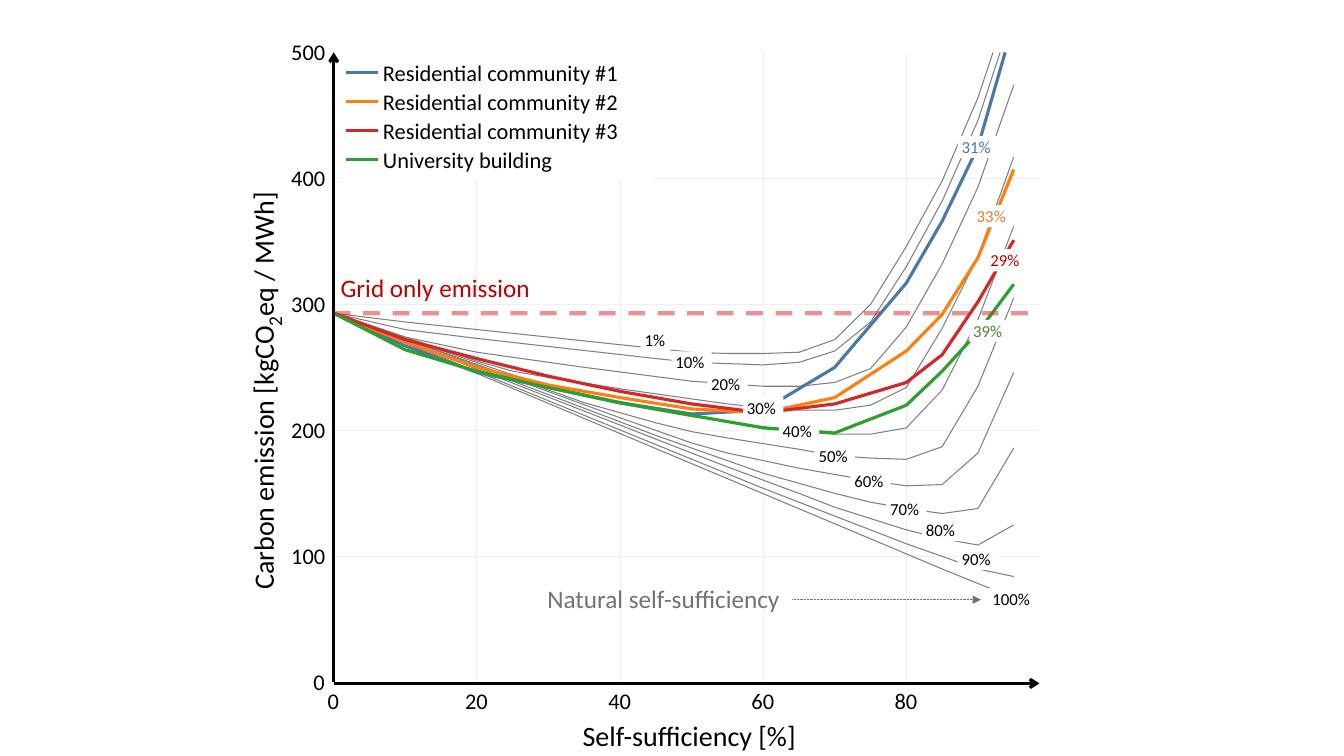
from lxml.etree import SubElement
from pptx import Presentation
from pptx.dml.color import RGBColor
from pptx.enum.dml import MSO_LINE
from pptx.enum.shapes import MSO_CONNECTOR, MSO_SHAPE
from pptx.enum.text import MSO_ANCHOR, MSO_AUTO_SIZE
from pptx.oxml.ns import qn
from pptx.util import Inches, Pt

GRID_ONLY = 293
GREY = "7F7F7F"
FULL_STEPS = list(range(10, 81, 10)) + [85, 90]

CONTOURS = [
    ([0, 10, 20, *range(45, 91, 5), 92.1],
     [293, 286, 280, 265, 262, 261, 261, 262, 272, 300, 346, 398, 464, 500]),
    ([0, 10, 20, *range(45, 91, 5), 93.1],
     [293, 280, 273, 257, 254, 253, 252, 254, 263, 286, 330, 382, 446, 500]),
    ([0, 10, 20, 30, 35, *range(50, 96, 5)],
     [293, 274, 262, 254, 250, 239, 237, 235, 235, 238, 249, 282, 332, 393, 474]),
    ([0, 10, 20, 25, 30, 40, 45, *range(55, 96, 5)],
     [293, 274, 255, 247, 242, 233, 229, 221, 218, 216, 216, 220, 234, 281, 338, 417]),
    ([0, 25, 30, 35, 40, 50, 55, *range(65, 96, 5)],
     [293, 244, 235, 227, 221, 211, 207, 199, 197, 197, 202, 232, 288, 362]),
    ([0, *range(30, 56, 5), *range(65, 96, 5)],
     [293, 232, 222, 214, 206, 199, 194, 185, 180, 178, 177, 187, 235, 305]),
    ([0, *range(40, 66, 5), *range(75, 96, 5)],
     [293, 210, 200, 190, 182, 176, 170, 160, 156, 157, 182, 246]),
    ([0, 45, 50, *range(60, 96, 5)],
     [293, 196, 186, 166, 158, 150, 143, 138, 134, 138, 186]),
    ([0, 50, 55, *range(65, 96, 5)],
     [293, 182, 171, 150, 139, 130, 121, 114, 109, 125]),
    ([0, 60, 65, 80, 85, 90, 95], [293, 154, 143, 110, 100, 90, 84]),
    ([0, 80, 85, 95], [293, 102, 90, 67]),
]
CONTOUR_LABEL_HEIGHTS = [272, 254, 237, 218, 200, 180, 160, 138, 121, 98, 66]

SITES = [
    ("Residential community #1", "4C78A8", 2.56, 93.8,
     [293, 267, 246, 234, 222, 213, 216, 250, 317, 366, 425, 500]),
    ("Residential community #2", "FF7F0E", 2.56, 95,
     [293, 270, 250, 236, 226, 217, 214, 226, 263, 292, 337, 407]),
    ("Residential community #3", "D62728", 2.56, 95,
     [293, 272, 257, 243, 231, 221, 214, 221, 238, 260, 302, 351]),
    ("University building", "2CA02C", 1.89, 95,
     [293, 264, 247, 234, 222, 212, 202, 198, 220, 247, 278, 316]),
]
SITE_LABELS = [
    ("31%", "4472C4", 90, 425),
    ("33%", "ED7D31", 92.1, 370),
    ("29%", "C00000", 94, 335),
    ("39%", "548235", 91.6, 279),
]


class Plot:
    def __init__(self, left, top, width, height):
        self.left, self.top, self.width, self.height = left, top, width, height
        self.right, self.bottom = left + width, top + height

    def x(self, percent):
        return self.left + percent * 0.071

    def y(self, emission):
        return self.bottom - emission * self.height / 500


def rgb(code):
    return RGBColor.from_string(code)


def add_text(slide, left, top, width, height, parts, size, color="000000", wrap=False):
    box = slide.shapes.add_textbox(Inches(left), Inches(top), Inches(width), Inches(height))
    frame = box.text_frame
    frame.word_wrap = wrap
    frame.auto_size = MSO_AUTO_SIZE.SHAPE_TO_FIT_TEXT
    paragraph = frame.paragraphs[0]
    for part in parts:
        paragraph.add_run().text = part
    paragraph.font.name = "Calibri"
    paragraph.font.size = Pt(size)
    paragraph.font.color.rgb = rgb(color)
    return box


def add_line(slide, x1, y1, x2, y2, color, width):
    line = slide.shapes.add_connector(
        MSO_CONNECTOR.STRAIGHT, Inches(x1), Inches(y1), Inches(x2), Inches(y2))
    line.line.color.rgb = rgb(color)
    line.line.width = Pt(width)
    SubElement(line._element.spPr, qn("a:effectLst"))
    return line


def add_arrowhead(line, end, kind):
    SubElement(line.line._get_or_add_ln(), qn(f"a:{end}"), type=kind)


def add_white_patch(slide, left, top, width, height):
    patch = slide.shapes.add_shape(
        MSO_SHAPE.RECTANGLE, Inches(left), Inches(top), Inches(width), Inches(height))
    patch.shadow.inherit = False
    patch.fill.solid()
    patch.fill.fore_color.rgb = rgb("FFFFFF")
    patch.line.fill.background()


def add_curve(slide, plot, percents, emissions, color, width):
    points = [(Inches(plot.x(p)), Inches(plot.y(e))) for p, e in zip(percents, emissions)]
    builder = slide.shapes.build_freeform(*points[0])
    builder.add_line_segments(points[1:], close=False)
    curve = builder.convert_to_shape()
    curve.shadow.inherit = False
    curve.fill.background()
    curve.line.color.rgb = rgb(color)
    curve.line.width = Pt(width)


def add_curve_label(slide, plot, text, percent, emission, color="000000"):
    width = 0.1 + 0.1 * len(text)
    x, y = plot.x(percent), plot.y(emission)
    add_white_patch(slide, x - width / 2, y - 0.11, width, 0.22)
    add_text(slide, x - width / 2 - 0.06, y - 0.15, width + 0.12, 0.3, [text], 12, color)


def draw_grid(slide, plot):
    for percent in range(20, 81, 20):
        x = plot.x(percent)
        add_line(slide, x, plot.top, x, plot.bottom, "EBF0F8", 0.75)
    for emission in range(100, 401, 100):
        y = plot.y(emission)
        add_line(slide, plot.left, y, plot.right, y, "EBF0F8", 0.75)


def draw_curves(slide, plot):
    for percents, emissions in CONTOURS:
        add_curve(slide, plot, percents, emissions, GREY, 0.75)
    for _, color, _, last_percent, emissions in SITES:
        add_curve(slide, plot, [0, *FULL_STEPS, last_percent], emissions, color, 2.25)


def draw_axes(slide, plot):
    emission_axis = add_line(
        slide, plot.left, plot.top, plot.left, plot.bottom, "000000", 2.25)
    add_arrowhead(emission_axis, "headEnd", "arrow")
    sufficiency_axis = add_line(
        slide, plot.left, plot.bottom + 0.01, plot.right, plot.bottom + 0.01, "000000", 2.25)
    add_arrowhead(sufficiency_axis, "tailEnd", "arrow")
    for percent in range(0, 81, 20):
        width = 0.43 if percent else 0.32
        add_text(slide, plot.x(percent) - width / 2, plot.bottom, width, 0.37,
                 [str(percent)], 16)
    for emission in range(0, 501, 100):
        width = 0.54 if emission else 0.32
        add_text(slide, plot.left + 0.02 - width, plot.y(emission) - 0.19, width, 0.37,
                 [str(emission)], 16)


def draw_axis_titles(slide, plot):
    add_text(slide, plot.left + 2.37, plot.bottom + 0.31, 2.34, 0.44,
             ["Self-sufficiency [%]"], 20)
    emission_title = add_text(slide, plot.left - 2.8, plot.top + 3.11, 4.2, 0.44,
                              ["Carbon emission [kgCO", "2", "eq / MWh]"], 20)
    emission_title.rotation = 270
    emission_title.text_frame.vertical_anchor = MSO_ANCHOR.MIDDLE
    subscript = emission_title.text_frame.paragraphs[0].runs[1]
    subscript.font.size = Pt(24)
    subscript._r.get_or_add_rPr().set("baseline", "-25000")


def draw_grid_only_line(slide, plot):
    y = plot.y(GRID_ONLY)
    threshold = add_line(slide, plot.left, y, plot.right, y, "D62728", 3)
    threshold.line.dash_style = MSO_LINE.DASH
    color = threshold.line._get_or_add_ln().find(".//" + qn("a:srgbClr"))
    SubElement(color, qn("a:alpha"), val="50000")


def draw_legend(slide, left, top, width, height):
    add_white_patch(slide, left, top, width, height)
    for row, (site, color, text_width, _, _) in enumerate(SITES):
        y = top + 0.2 + row * 0.287
        add_text(slide, left + 0.32, y - 0.18, text_width, 0.37, [site], 16)
        add_line(slide, left + 0.05, y, left + 0.37, y, color, 2.25)


def draw_curve_labels(slide, plot):
    shares = [1, *range(10, 101, 10)]
    for step, (share, emission) in enumerate(zip(shares, CONTOUR_LABEL_HEIGHTS)):
        add_curve_label(slide, plot, f"{share}%", 45 + 5 * step, emission)
    for text, color, percent, emission in SITE_LABELS:
        add_curve_label(slide, plot, text, percent, emission, color)


def draw_notes(slide, plot):
    add_text(slide, plot.left - 0.03, plot.y(GRID_ONLY) - 0.45, 2.1, 0.4,
             ["Grid only emission"], 18, "C00000")
    y = plot.bottom - 0.82
    add_text(slide, plot.left + 2.02, y - 0.21, 2.84, 0.4,
             ["Natural self-sufficiency"], 18, "767171", wrap=True)
    pointer = add_line(slide, plot.left + 4.55, y, plot.left + 6.42, y, "767171", 0.5)
    pointer.line.dash_style = MSO_LINE.ROUND_DOT
    add_arrowhead(pointer, "tailEnd", "triangle")


def main():
    deck = Presentation()
    deck.slide_width, deck.slide_height = Inches(13.33), Inches(7.5)
    slide = deck.slides.add_slide(deck.slide_layouts[6])
    plot = Plot(3.31, 0.52, 7, 6.25)
    draw_grid(slide, plot)
    draw_curves(slide, plot)
    draw_axes(slide, plot)
    draw_grid_only_line(slide, plot)
    draw_legend(slide, plot.left + 0.07, plot.top, 3.1, 1.26)
    draw_axis_titles(slide, plot)
    draw_curve_labels(slide, plot)
    draw_notes(slide, plot)
    deck.save("out.pptx")


if __name__ == "__main__":
    main()
